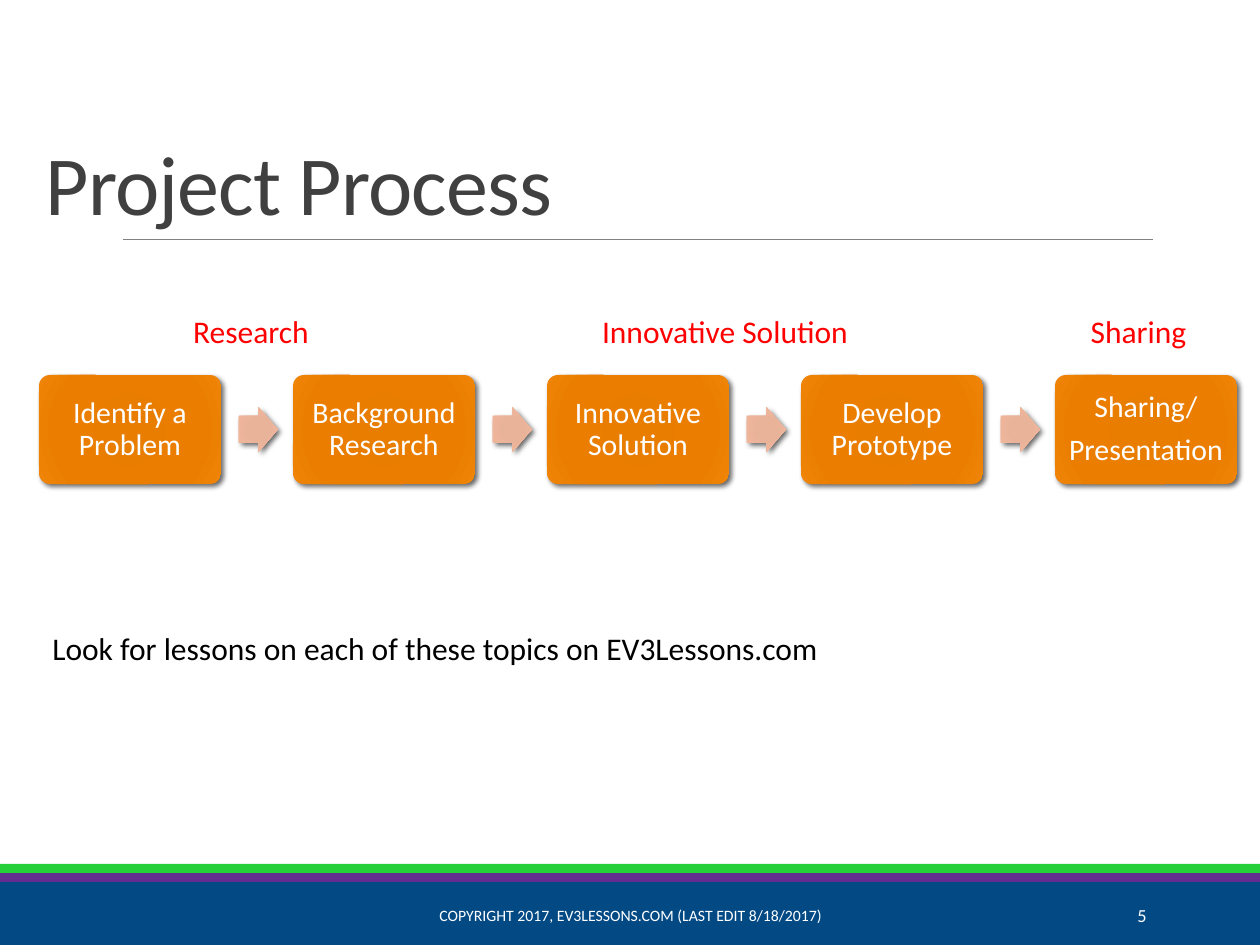
import pptx
import pptx.util
import pptx.dml.color
import pptx.enum.shapes
import pptx.enum.text
import pptx.oxml

SCALE = 914400 / 126
NS = 'xmlns:a="http://schemas.openxmlformats.org/drawingml/2006/main"'
KIND = pptx.enum.shapes.MSO_SHAPE
ALIGN = pptx.enum.text.PP_ALIGN
ANCHOR = pptx.enum.text.MSO_ANCHOR
ORANGE = [(0, "E57B00"), (34, "E87D00"), (70, "EB7E00"), (100, "EF8407")]
PEACH = [(0, "E8B196"), (34, "E9B399"), (70, "EEB59A"), (100, "F3C0A8")]
STEPS = ["Identify a Problem", "Background Research", "Innovative Solution",
         "Develop Prototype", "Sharing/\nPresentation"]
PHASES = [("Research", 40, 422), ("Innovative Solution", 514, 422),
          ("Sharing", 1057, 163)]
BANDS = [(882, 63, "034A85"), (873, 9, "652C90"), (864, 9, "24CF39")]


def px(*nums):
    return [pptx.util.Emu(round(n * SCALE)) for n in nums]


def color(code):
    return pptx.dml.color.RGBColor.from_string(code)


def write(shape, text, size, code, align=ALIGN.LEFT, anchor=ANCHOR.TOP):
    frame = shape.text_frame
    frame.word_wrap = True
    frame.vertical_anchor = anchor
    frame.text = text
    for para in frame.paragraphs:
        para.alignment = align
        para.font.name = "Calibri"
        para.font.size = pptx.util.Pt(size)
        para.font.color.rgb = color(code)
    return frame


def label(slide, box, *style):
    write(slide.shapes.add_textbox(*px(*box)), *style)


def band(slide, top, height, code):
    shape = slide.shapes.add_shape(KIND.RECTANGLE, *px(0, top, 1260, height))
    shape.shadow.inherit = False
    shape.fill.solid()
    shape.fill.fore_color.rgb = color(code)
    shape.line.fill.background()


def rule(slide):
    line = slide.shapes.add_connector(
        pptx.enum.shapes.MSO_CONNECTOR.STRAIGHT, *px(123, 239, 1153, 239))
    line.line.color.rgb = color("808080")
    line.line.width = pptx.util.Pt(0.5)
    props = line._element.spPr
    props.append(pptx.oxml.parse_xml(f"<a:effectLst {NS}/>"))


def glow(slide, kind, box, ratios, stops):
    shape = slide.shapes.add_shape(kind, *px(*box))
    for i, ratio in enumerate(ratios):
        shape.adjustments[i] = ratio
    shape.line.fill.background()
    marks = "".join(f'<a:gs pos="{pos * 1000}"><a:srgbClr val="{code}"/></a:gs>'
                    for pos, code in stops)
    fill = pptx.oxml.parse_xml(
        f'<a:gradFill {NS} rotWithShape="1"><a:gsLst>{marks}</a:gsLst>'
        '<a:path path="circle"><a:fillToRect l="100000" t="100000" '
        'r="100000" b="100000"/></a:path></a:gradFill>')
    shade = pptx.oxml.parse_xml(
        f'<a:effectLst {NS}><a:outerShdw blurRad="38100" dist="25400" '
        'dir="2700000" rotWithShape="0"><a:srgbClr val="000000">'
        '<a:alpha val="60000"/></a:srgbClr></a:outerShdw></a:effectLst>')
    props = shape._element.spPr
    props.insert(2, fill)
    props.append(shade)
    return shape


def step(slide, left, text):
    shape = glow(slide, KIND.ROUNDED_RECTANGLE, (left, 375, 182, 109),
                 [0.1], ORANGE)
    frame = write(shape, text, 17, "FFFFFF", ALIGN.CENTER, ANCHOR.MIDDLE)
    pad = px(9)[0]
    frame.margin_left = frame.margin_right = pad
    frame.margin_top = frame.margin_bottom = pad
    for para in frame.paragraphs:
        para.line_spacing = 0.9
        para.space_after = pptx.util.Pt(6)


def flow(slide):
    pitch = 254
    for i, text in enumerate(STEPS):
        left = 39 + i * pitch
        step(slide, left, text)
        if i < len(STEPS) - 1:
            glow(slide, KIND.RIGHT_ARROW, (left + 200, 407, 39, 45),
                 [0.6, 0.5], PEACH)


def title(slide, text):
    shape = slide.shapes.title
    shape.left, shape.top, shape.width, shape.height = px(33, 39, 1196, 200)
    frame = write(shape, text, 48, "404040", anchor=ANCHOR.BOTTOM)
    frame.auto_size = pptx.enum.text.MSO_AUTO_SIZE.NONE
    para = frame.paragraphs[0]
    para.line_spacing = 0.85
    para.runs[0]._r.get_or_add_rPr().set("spc", "-50")


def main():
    deck = pptx.Presentation()
    deck.slide_width, deck.slide_height = px(1260, 945)
    slide = deck.slides.add_slide(deck.slide_layouts[5])
    for item in BANDS:
        band(slide, *item)
    rule(slide)
    title(slide, "Project Process")
    for text, left, width in PHASES:
        label(slide, (left, 306, width, 51), text, 18, "FF0000", ALIGN.CENTER)
    flow(slide)
    label(slide, (40, 623, 1124, 51),
          "Look for lessons on each of these topics on EV3Lessons.com",
          18, "000000")
    label(slide, (381, 890, 499, 50),
          "COPYRIGHT 2017, EV3LESSONS.COM (LAST EDIT 8/18/2017)",
          9, "FFFFFF", ALIGN.CENTER, ANCHOR.MIDDLE)
    label(slide, (1023, 890, 136, 50), "5", 10.5, "FFFFFF",
          ALIGN.RIGHT, ANCHOR.MIDDLE)
    deck.save("out.pptx")


if __name__ == "__main__":
    main()
